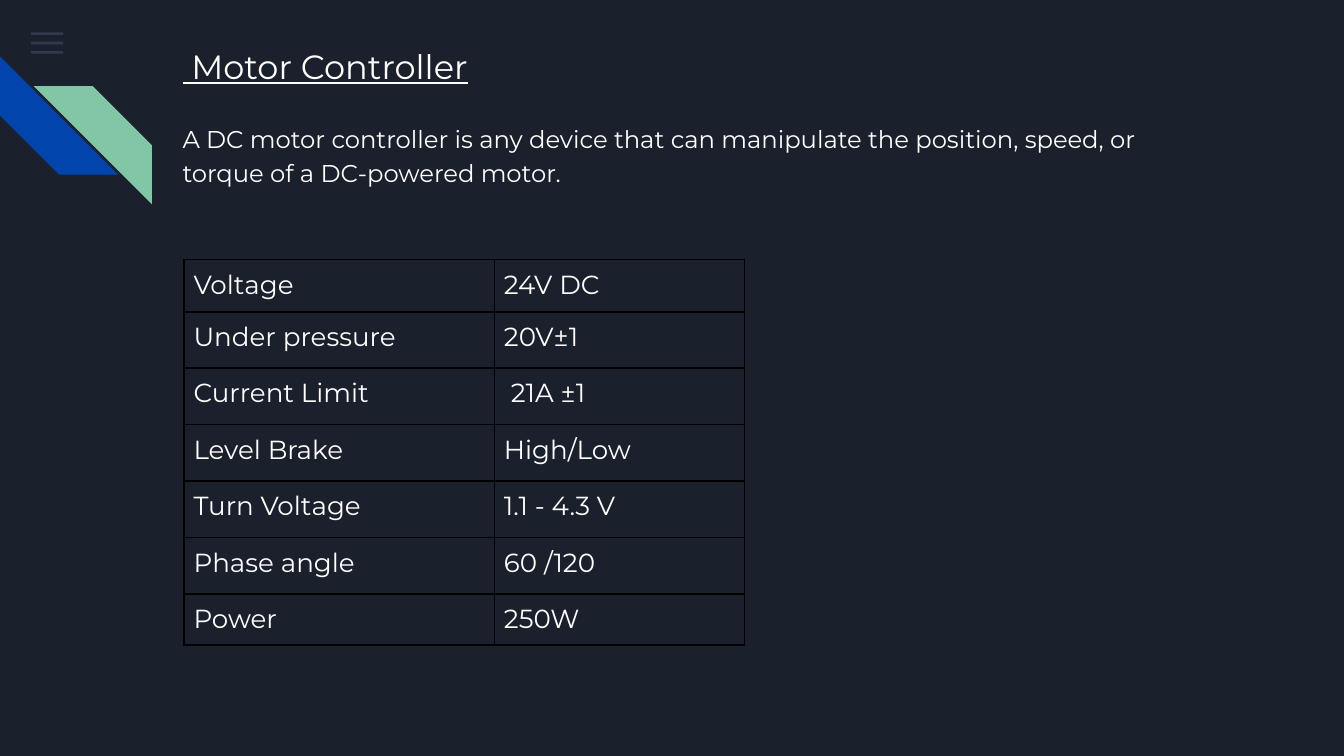
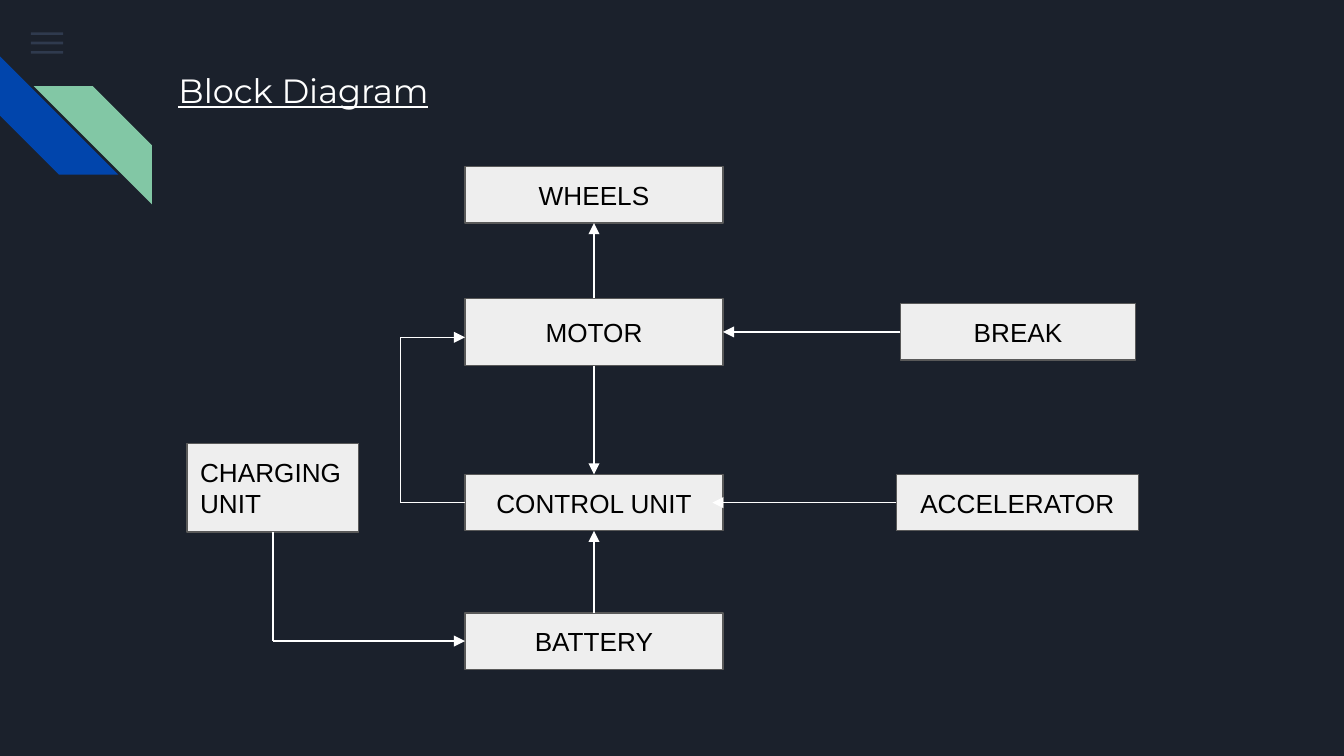
from pptx import Presentation
from pptx.dml.color import RGBColor
from pptx.enum.shapes import MSO_CONNECTOR as Line, MSO_SHAPE as Shape
from pptx.enum.text import MSO_ANCHOR as Anchor, PP_ALIGN as Align
from pptx.oxml.ns import qn
from pptx.util import Inches, Pt
from lxml.etree import SubElement

NAVY, BLUE, GREEN, SLATE = "1B212C", "0145AC", "82C7A5", "55688B"
WHITE, BLACK, BOX_FILL, BOX_EDGE = "FFFFFF", "000000", "EEEEEE", "595959"
HEADING_FONT, LABEL_FONT = "Montserrat", "Arial"
TOP, LEFT, BOTTOM, RIGHT = range(4)


def color(code):
    return RGBColor.from_string(code)


def inches(*lengths):
    return [Inches(length) for length in lengths]


def write(frame, text, first=True, font=HEADING_FONT, size=14, ink=WHITE,
          underline=False, align=Align.LEFT, spacing=1.0, before=0):
    """Write one paragraph; first=False adds it below the existing ones."""
    paragraph = frame.paragraphs[0] if first else frame.add_paragraph()
    paragraph.alignment = align
    paragraph.line_spacing = spacing
    if before:
        paragraph.space_before = Pt(before)
    run = paragraph.add_run()
    run.text = text
    run.font.name, run.font.size = font, Pt(size)
    run.font.underline = underline
    run.font.color.rgb = color(ink)


def set_frame(frame, anchor, inset=0.1):
    frame.word_wrap = True
    frame.vertical_anchor = anchor
    frame.margin_left = frame.margin_right = Inches(inset)
    frame.margin_top = frame.margin_bottom = Inches(inset)


class Deck:
    def __init__(self):
        self.prs = Presentation()
        self.prs.slide_width = Inches(10)
        self.prs.slide_height = Inches(10) * 9 // 16
        background = self.prs.slide_master.background.fill
        background.solid()
        background.fore_color.rgb = color(NAVY)
        self.slide = None

    def new_slide(self):
        self.slide = self.prs.slides.add_slide(self.prs.slide_layouts[6])
        for row in range(3):
            bar = self.shape(Shape.RECTANGLE, 0.23, 0.24 + row * 0.07, 0.24, 0.02, SLATE)
            self.set_alpha(bar, 36)
        blue_stripe = self.shape(Shape.DIAGONAL_STRIPE, 0, 0.42, 0.88, 0.88, BLUE)
        blue_stripe.rotation = 270
        green_stripe = self.shape(Shape.DIAGONAL_STRIPE, 0.25, 0.64, 0.88, 0.88, GREEN)
        green_stripe._element.spPr.find(qn("a:xfrm")).set("flipH", "1")

    def set_alpha(self, shape, percent):
        srgb = shape._element.spPr.find(qn("a:solidFill")).find(qn("a:srgbClr"))
        SubElement(srgb, qn("a:alpha")).set("val", str(percent * 1000))

    def shape(self, kind, left, top, width, height, fill, edge=None):
        shape = self.slide.shapes.add_shape(kind, *inches(left, top, width, height))
        shape.shadow.inherit = False
        shape.fill.solid()
        shape.fill.fore_color.rgb = color(fill)
        if edge:
            shape.line.color.rgb = color(edge)
            shape.line.width = Pt(0.75)
        else:
            shape.line.fill.background()
        return shape

    def title(self, text, left, top, width, height, spacing=1.0):
        box = self.slide.shapes.add_textbox(*inches(left, top, width, height))
        set_frame(box.text_frame, Anchor.TOP)
        write(box.text_frame, text, size=18, underline=True, spacing=spacing)
        return box.text_frame

    def block(self, label, left, top, width, height, align=Align.CENTER):
        block = self.shape(Shape.RECTANGLE, left, top, width, height, BOX_FILL, BOX_EDGE)
        set_frame(block.text_frame, Anchor.MIDDLE)
        write(block.text_frame, label, font=LABEL_FONT, ink=BLACK, align=align)
        return block

    def link(self, start, end, arrow=True):
        """Draw a line; each end is an (x, y) point or a (block, side) pair."""
        glued = [not isinstance(stop[0], (int, float)) for stop in (start, end)]
        points = [(0, 0) if is_glued else stop
                  for is_glued, stop in zip(glued, (start, end))]
        line = self.slide.shapes.add_connector(
            Line.STRAIGHT, *inches(*points[0], *points[1]))
        if glued[0]:
            line.begin_connect(*start)
        if glued[1]:
            line.end_connect(*end)
        line.line.color.rgb = color(WHITE)
        line.line.width = Pt(0.75)
        if arrow:
            SubElement(line.line._get_or_add_ln(), qn("a:tailEnd")).set("type", "triangle")
        SubElement(line._element.spPr, qn("a:effectLst"))

    def table(self, rows, left, top, widths, heights):
        frame = self.slide.shapes.add_table(
            len(rows), len(widths), *inches(left, top, sum(widths), sum(heights)))
        table = frame.table
        table.first_row = table.horz_banding = False
        for column, width in zip(table.columns, widths):
            column.width = Inches(width)
        for row, height, texts in zip(table.rows, heights, rows):
            row.height = Inches(height)
            for cell, text in zip(row.cells, texts):
                self.cell(cell, text)

    def cell(self, cell, text):
        properties = cell._tc.get_or_add_tcPr()
        for side in ("lnL", "lnR", "lnT", "lnB"):
            border = SubElement(properties, qn(f"a:{side}"), w=str(Pt(1)))
            fill = SubElement(border, qn("a:solidFill"))
            SubElement(fill, qn("a:srgbClr")).set("val", BLACK)
        cell.fill.background()
        cell.margin_left = cell.margin_right = Inches(0.07)
        cell.margin_top = cell.margin_bottom = Inches(0.07)
        write(cell.text_frame, text)


def motor_controller(deck):
    deck.new_slide()
    ratings = [
        ("Voltage", "24V DC"),
        ("Under pressure", "20V±1"),
        ("Current Limit", " 21A ±1"),
        ("Level Brake", "High/Low"),
        ("Turn Voltage", "1.1 - 4.3 V"),
        ("Phase angle", "60 /120"),
        ("Power", "250W"),
    ]
    deck.table(ratings, 1.37, 1.93, [2.31, 1.86], [0.39] + [0.42] * 5 + [0.38])
    intro = deck.title(" Motor Controller", 1.26, 0.2, 7.78, 1.31, spacing=1.15)
    write(intro, "A DC motor controller is any device that can manipulate the "
          "position, speed, or torque of a DC-powered motor.",
          first=False, size=13, spacing=1.15, before=18)


def block_diagram(deck):
    deck.new_slide()
    deck.title("Block Diagram", 1.23, 0.42, 3.7, 0.67)

    column, width, height = 3.46, 1.92, 0.42
    charging = deck.block("CHARGING UNIT", 1.39, 3.3, 1.28, 0.66, align=Align.LEFT)
    wheels = deck.block("WHEELS", column, 1.24, width, height)
    motor = deck.block("MOTOR", column, 2.22, width, 0.5)
    control = deck.block("CONTROL UNIT", column, 3.53, width, height)
    battery = deck.block("BATTERY", column, 4.56, width, height)
    brake = deck.block("BREAK", 6.7, 2.26, 1.75, height)
    accelerator = deck.block("ACCELERATOR", 6.67, 3.53, 1.8, height)

    deck.link((motor, TOP), (wheels, BOTTOM))
    deck.link((motor, BOTTOM), (control, TOP))
    deck.link((battery, TOP), (control, BOTTOM))
    deck.link((brake, LEFT), (motor, RIGHT))
    deck.link((accelerator, LEFT), (5.3, 3.74))

    charging_corner = (2.03, 4.77)
    deck.link((charging, BOTTOM), charging_corner, arrow=False)
    deck.link(charging_corner, (battery, LEFT))

    feedback_low, feedback_high = (2.98, 3.74), (2.98, 2.51)
    deck.link((control, LEFT), feedback_low, arrow=False)
    deck.link(feedback_low, feedback_high, arrow=False)
    deck.link(feedback_high, (column, 2.51))


def main():
    deck = Deck()
    motor_controller(deck)
    block_diagram(deck)
    deck.prs.save("out.pptx")


if __name__ == "__main__":
    main()
